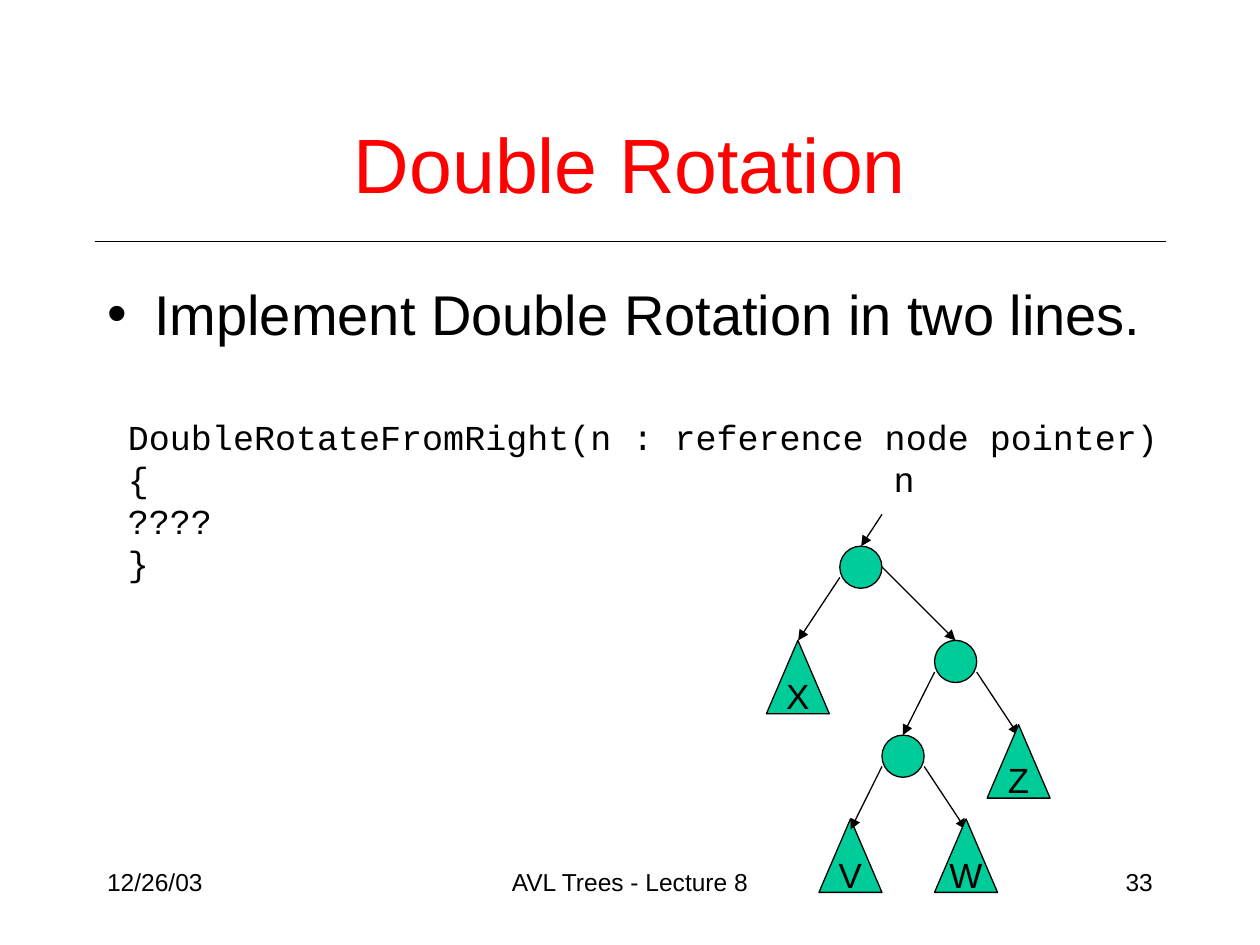
from pptx import Presentation
from pptx.util import Cm, Pt
from pptx.dml.color import RGBColor
from pptx.enum.shapes import MSO_SHAPE as SHAPE, MSO_CONNECTOR as CONN
from pptx.enum.text import PP_ALIGN as ALIGN, MSO_ANCHOR as ANCHOR
from pptx.oxml.ns import qn
from lxml.etree import SubElement

BLACK, RED, GREEN = "000000", "FF0000", "00CC99"
NODE = 0.85
TREE_W, TREE_H = 1.27, 1.48


def rgb(value):
    return RGBColor.from_string(value)


def write(sp, text, size, align=ALIGN.LEFT, color=BLACK, font="Arial"):
    tf = sp.text_frame
    tf.text = text
    for p in tf.paragraphs:
        p.alignment = align
        for r in p.runs:
            r.font.size = Pt(size)
            r.font.name = font
            r.font.color.rgb = rgb(color)
    return tf


prs = Presentation()
prs.slide_width, prs.slide_height = Cm(25.4), Cm(19.05)
s = prs.slides.add_slide(prs.slide_layouts[6])

lines = []
for x1, y1, x2, y2, arrow in [
    (1.91, 4.87, 23.5, 4.87, False),
    (17.78, 10.37, 17.36, 11.01, True),
    (16.93, 11.64, 16.09, 12.91, True),
    (17.78, 11.43, 19.26, 12.91, True),
    (18.84, 13.55, 18.2, 14.82, True),
    (19.69, 13.55, 20.53, 14.82, True),
    (18.63, 15.45, 19.47, 16.72, True),
    (17.78, 15.45, 17.15, 16.72, True),
]:
    line = s.shapes.add_connector(CONN.STRAIGHT, Cm(x1), Cm(y1), Cm(x2), Cm(y2))
    line.line.color.rgb = rgb(BLACK)
    line.line.width = Pt(0.75)
    if arrow:
        SubElement(line.line._get_or_add_ln(), qn("a:tailEnd")).set("type", "triangle")
    SubElement(line._element.spPr, qn("a:effectLst"))
    lines.append(line)

code = "DoubleRotateFromRight(n : reference node pointer) {\n????\n}"
frames = []
for x, y, w, h, text, size, align, color, font in [
    (1.91, 17.35, 5.29, 1.27, "12/26/03", 14, ALIGN.LEFT, BLACK, "Arial"),
    (8.68, 17.35, 8.04, 1.27, "AVL Trees - Lecture 8", 14, ALIGN.CENTER, BLACK, "Arial"),
    (18.2, 17.35, 5.29, 1.27, "33", 14, ALIGN.RIGHT, BLACK, "Arial"),
    (1.91, 1.7, 21.59, 3.18, "Double Rotation", 44, ALIGN.CENTER, RED, "Arial"),
    (1.91, 5.51, 21.59, 1.9, "Implement Double Rotation in two lines.", 32, ALIGN.LEFT, BLACK, "Arial"),
    (2.33, 8.25, 21.7, 2.8, code, 20, ALIGN.LEFT, BLACK, "Courier New"),
    (17.78, 9.1, 0.92, 1.09, "n", 20, ALIGN.LEFT, BLACK, "Arial"),
]:
    sp = s.shapes.add_textbox(Cm(x), Cm(y), Cm(w), Cm(h))
    tf = write(sp, text, size, align, color, font)
    tf.word_wrap = text != "n"
    frames.append(tf)

date, footer, number, title, body, listing, root_label = frames
title.vertical_anchor = ANCHOR.MIDDLE
for p in listing.paragraphs:
    p.line_spacing = Pt(24)

p = body.paragraphs[0]
p.space_before = Pt(6.4)
pPr = p._p.get_or_add_pPr()
pPr.set("marL", str(Cm(0.95)))
pPr.set("indent", str(-Cm(0.95)))
SubElement(pPr, qn("a:buFont")).set("typeface", "Arial")
SubElement(pPr, qn("a:buChar")).set("char", "•")

nodes = [(16.93, 11.01), (18.84, 12.91), (17.78, 14.82)]
subtrees = [("X", 15.45, 12.91), ("Z", 19.9, 14.61), ("V", 16.51, 16.51), ("W", 18.84, 16.51)]
parts = [(SHAPE.OVAL, "", x, y, NODE, NODE) for x, y in nodes]
parts += [(SHAPE.ISOSCELES_TRIANGLE, t, x, y, TREE_W, TREE_H) for t, x, y in subtrees]
for kind, label, x, y, w, h in parts:
    sp = s.shapes.add_shape(kind, Cm(x), Cm(y), Cm(w), Cm(h))
    sp.shadow.inherit = False
    sp.fill.solid()
    sp.fill.fore_color.rgb = rgb(GREEN)
    sp.line.color.rgb = rgb(BLACK)
    sp.line.width = Pt(0.75)
    if label:
        tf = write(sp, label, 20, ALIGN.CENTER)
        tf.word_wrap = False
        tf.vertical_anchor = ANCHOR.MIDDLE

s.shapes._spTree.append(lines[-1]._element)

prs.save("out.pptx")
